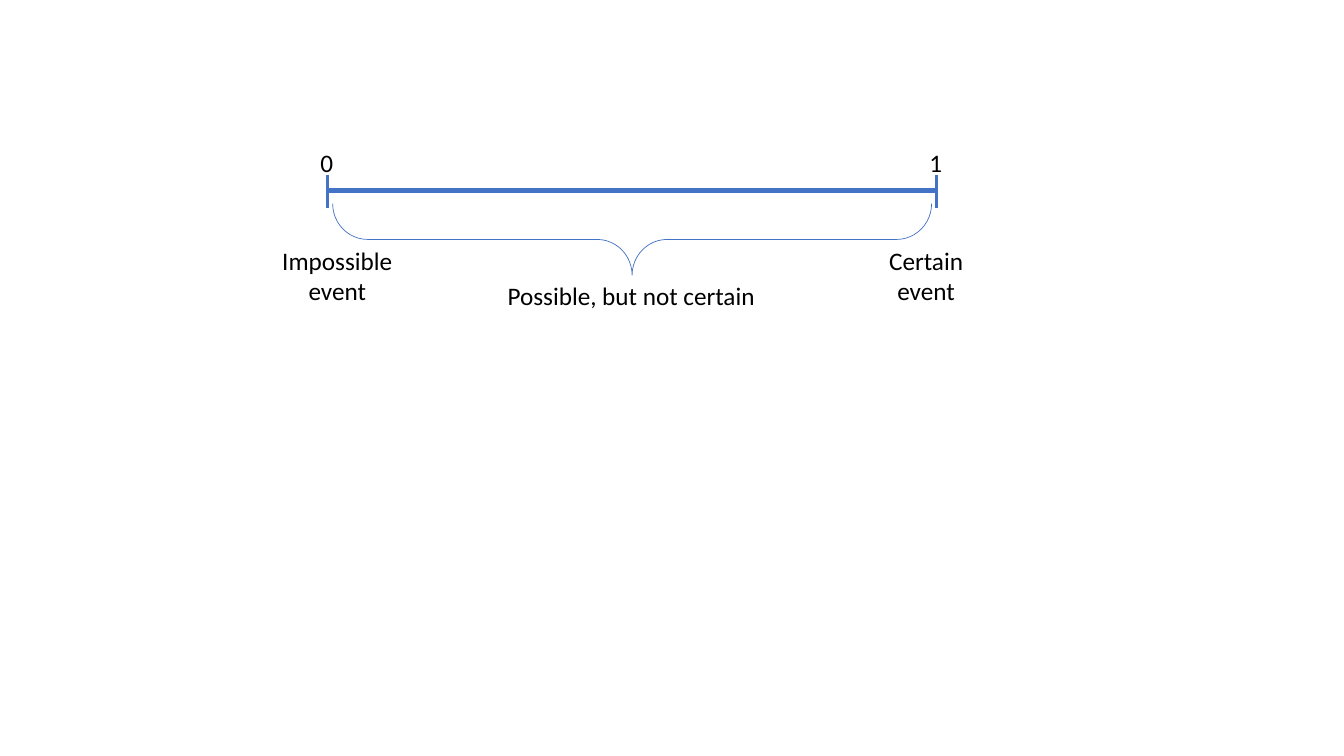
from pptx import Presentation
from pptx import util as u
from pptx.dml.color import RGBColor
from pptx.enum import shapes, text
from pptx.oxml.ns import qn
from lxml import etree

COLOURS = {"scale": "4472C4", "label": "000000"}
IMPOSSIBLE_X, CERTAIN_X = 3.25, 9.29
SCALE_Y = 1.89
TICK_TOP, TICK_BOTTOM = 1.74, 2.06


class ProbabilityScale:
    """Holds the style and the slide that the scale is drawn on."""

    font_format = {"name": "Calibri", "size": u.Pt(18)}
    frame_format = {"word_wrap": True, "auto_size": text.MSO_AUTO_SIZE.SHAPE_TO_FIT_TEXT}

    def __init__(self, slide):
        self.slide = slide

    def apply(self, target, values):
        for attribute, value in values.items():
            setattr(target, attribute, value)

    def outline(self, item, weight):
        item.line.color.rgb = RGBColor.from_string(COLOURS["scale"])
        item.line.width = u.Pt(weight)

    def line(self, x1, y1, x2, y2, weight):
        segment = self.slide.shapes.add_connector(
            shapes.MSO_CONNECTOR.STRAIGHT, *map(u.Inches, (x1, y1, x2, y2)))
        self.outline(segment, weight)
        etree.SubElement(segment._element.spPr, qn("a:effectLst"))

    def label(self, words, left, top, width, height, align=text.PP_ALIGN.CENTER):
        frame = self.slide.shapes.add_textbox(
            *map(u.Inches, (left, top, width, height))).text_frame
        self.apply(frame, self.frame_format)
        paragraph = frame.paragraphs[0]
        paragraph.alignment = align
        run = paragraph.add_run()
        run.text = words
        self.apply(run.font, self.font_format)
        run.font.color.rgb = RGBColor.from_string(COLOURS["label"])

    def brace_below(self, left, top, width, depth):
        """Turn a left brace so that its point faces down within the given area."""
        brace = self.slide.shapes.add_shape(
            shapes.MSO_SHAPE.LEFT_BRACE,
            u.Inches(left + (width - depth) / 2), u.Inches(top - (width - depth) / 2),
            u.Inches(depth), u.Inches(width))
        brace.rotation = 270
        brace.adjustments[0], brace.adjustments[1] = 0.489, 0.5
        brace.shadow.inherit = False
        brace.fill.background()
        self.outline(brace, 0.5)


def main():
    deck = Presentation()
    deck.slide_width, deck.slide_height = u.Inches(13.33), u.Inches(7.5)
    scale = ProbabilityScale(deck.slides.add_slide(deck.slide_layouts[6]))

    scale.line(IMPOSSIBLE_X, SCALE_Y, CERTAIN_X - 0.02, SCALE_Y, 3)
    ends = (("0", IMPOSSIBLE_X, "Impossible event", 2.59),
            ("1", CERTAIN_X, "Certain event", 8.43))
    for probability, x, event, event_left in ends:
        scale.line(x, TICK_TOP, x, TICK_BOTTOM, 2.25)
        scale.label(probability, x - 0.17, 1.41, 0.43, 0.4, text.PP_ALIGN.LEFT)
        scale.label(event, event_left, 2.38, 1.51, 0.71)

    scale.brace_below(3.3, 2.02, 5.94, 0.71)
    scale.label("Possible, but not certain", 4.5, 2.73, 3.52, 0.4)
    deck.save("out.pptx")


if __name__ == "__main__":
    main()
